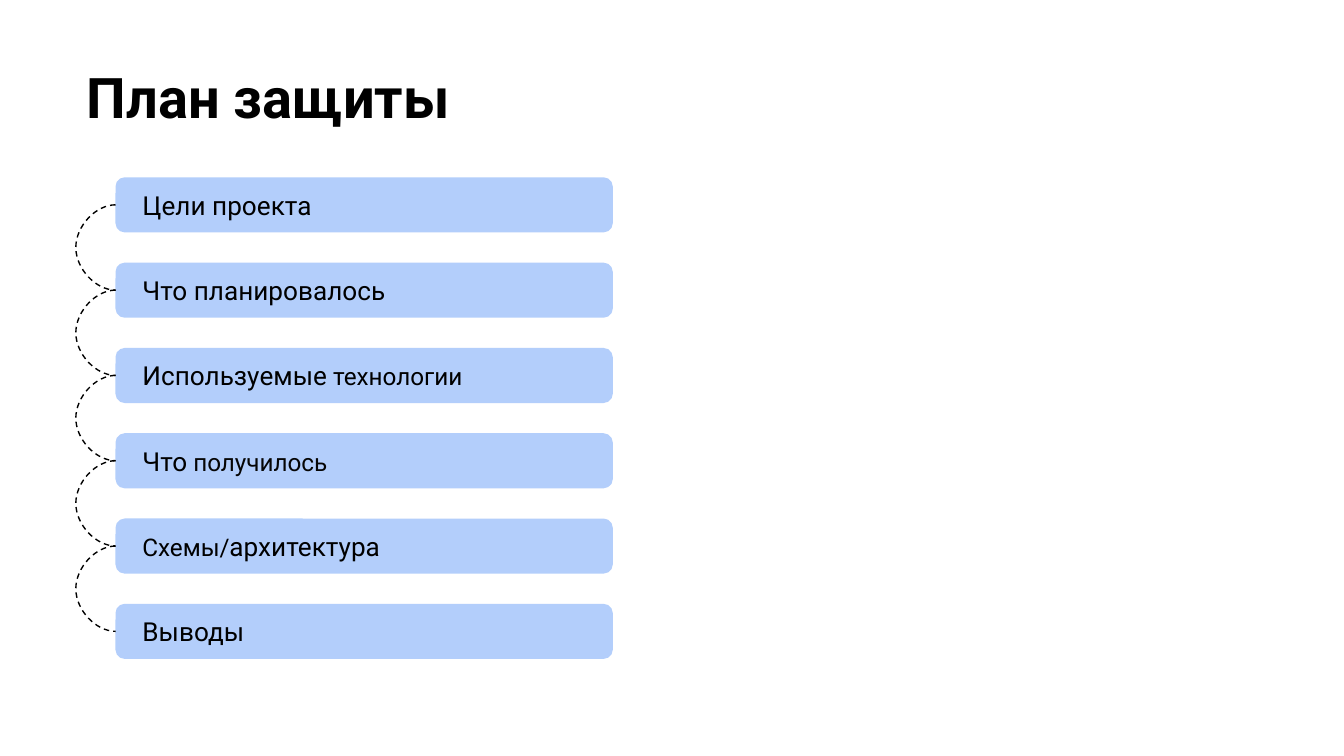
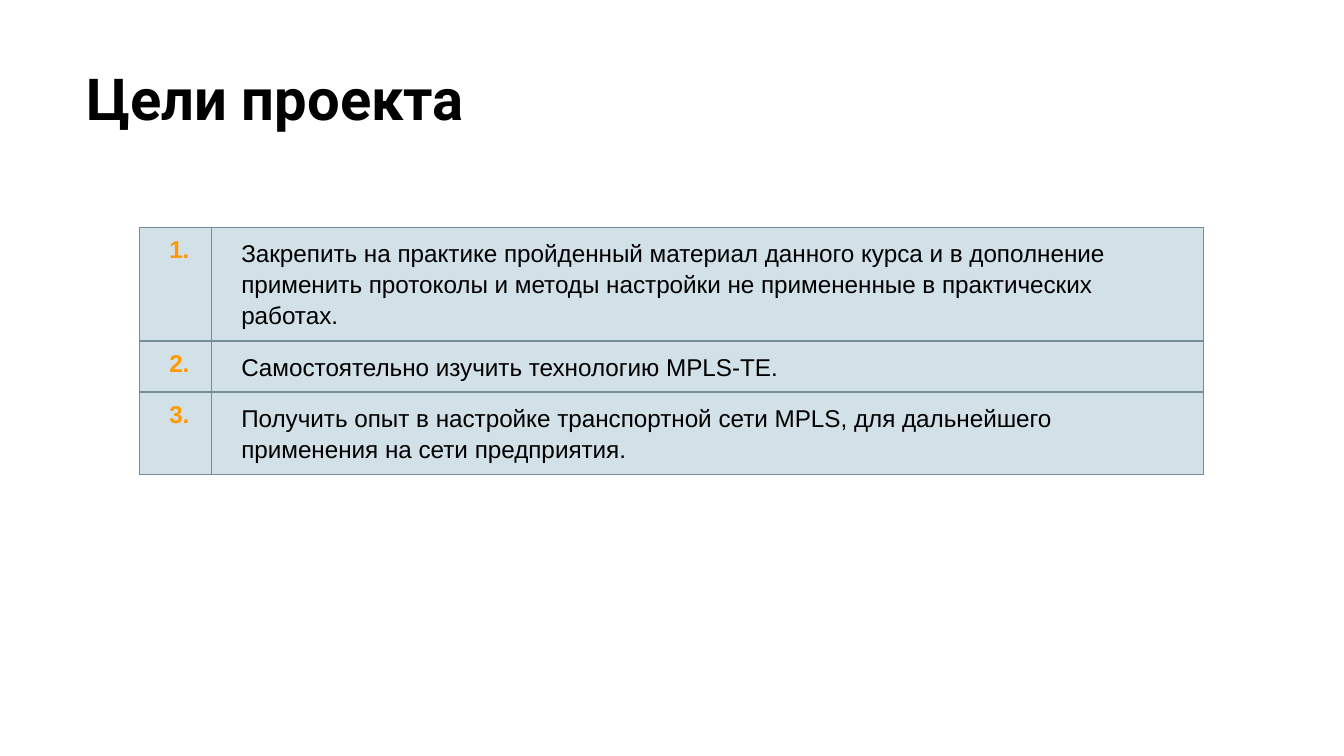
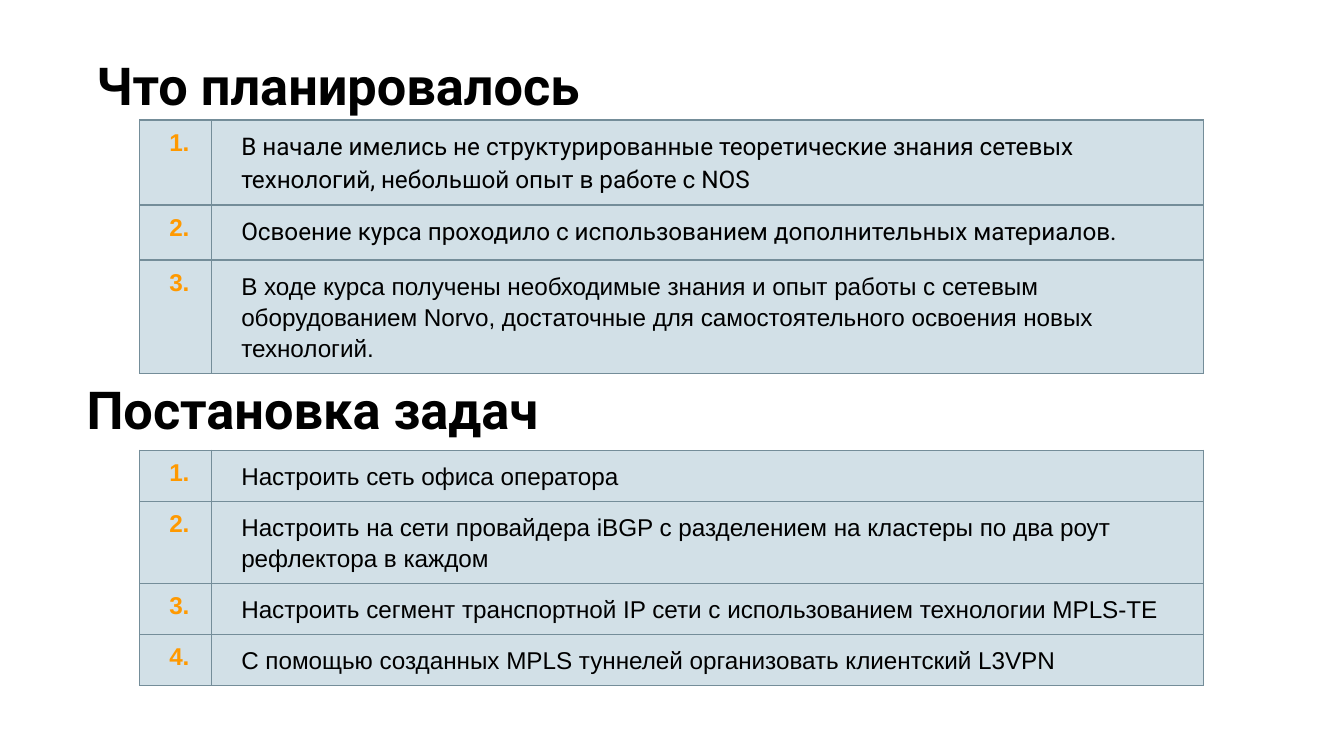
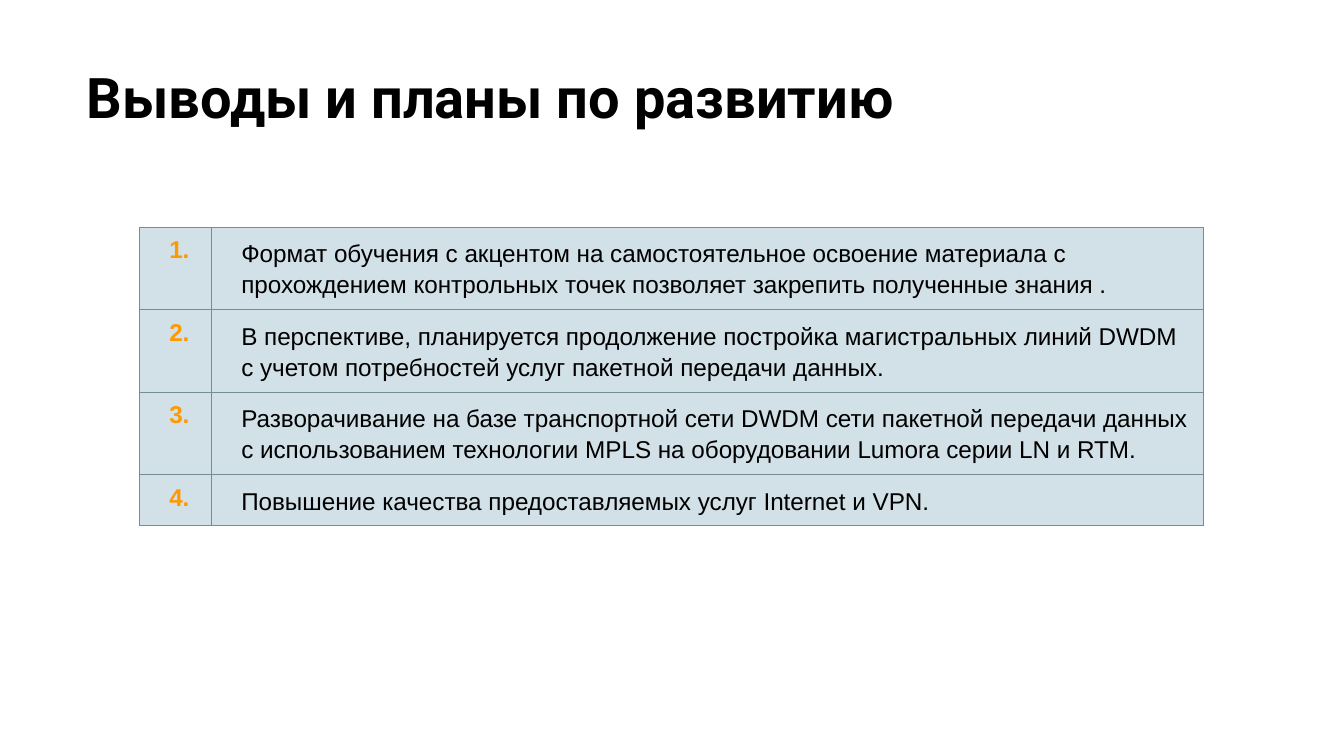
from itertools import pairwise

from pptx import Presentation
from pptx.dml.color import RGBColor
from pptx.enum.dml import MSO_LINE
from pptx.enum.shapes import MSO_CONNECTOR, MSO_SHAPE
from pptx.enum.text import MSO_ANCHOR as ANCHOR, MSO_AUTO_SIZE as AUTO, PP_ALIGN as ALIGN
from pptx.oxml import parse_xml
from pptx.oxml.ns import nsdecls, qn
from pptx.util import Pt

COLORS = {"text": "000000", "soft": "050505", "bar": "B3CEFB", "number": "FF9900",
          "cell": "D2E0E7", "border": "748D99"}
HEAD, BODY = "Roboto", "Arial"

TITLE_BOX = (39.3, 26.1, 671, 86.4)
PLAN = [
    [("Цели проекта", 14, "text")],
    [("Что планировалось", 14, "text")],
    [("Используемые", 14, "text"), (" технологии", 13, "text")],
    [("Что", 14, "text"), (" получилось", 13, "soft")],
    [("Схемы/", 13, "text"), ("архитектура", 14, "text")],
    [("Выводы", 14, "text")],
]
GOALS = [
    ("Закрепить на практике пройденный материал данного курса и в дополнение применить "
     "протоколы и методы настройки не примененные в практических работах.", 60.9, BODY),
    ("Самостоятельно изучить технологию MPLS-TE.", 27.3, BODY),
    ("Получить опыт в настройке транспортной сети MPLS, для дальнейшего применения на "
     "сети предприятия.", 44.2, BODY),
]
PLANNED = [
    ("В начале имелись не структурированные теоретические знания сетевых технологий, "
     "небольшой опыт в работе с NOS", 45.5, HEAD),
    ("Освоение курса проходило с использованием дополнительных материалов.", 29.5, HEAD),
    ("В ходе курса получены необходимые знания и опыт работы с сетевым оборудованием "
     "Norvo, достаточные для самостоятельного освоения новых технологий.", 60.9, BODY),
]
TASKS = [
    ("Настроить сеть офиса оператора", 27.3, BODY),
    ("Настроить на сети провайдера iBGP c разделением на кластеры по два роут "
     "рефлектора в каждом", 44.2, BODY),
    ("Настроить сегмент транспортной IP сети с использованием технологии MPLS-TE",
     27.3, BODY),
    ("С помощью созданных MPLS туннелей организовать клиентский L3VPN", 27.3, BODY),
]
RESULTS = [
    ("Формат обучения с акцентом на самостоятельное освоение материала с прохождением "
     "контрольных точек позволяет закрепить полученные знания .", 44.2, BODY),
    ("В перспективе, планируется продолжение постройка магистральных линий DWDM с "
     "учетом потребностей услуг пакетной передачи данных.", 44.2, BODY),
    ("Разворачивание на базе транспортной сети DWDM сети пакетной передачи данных с "
     "использованием технологии MPLS на оборудовании Lumora серии LN и RTM.", 44.2, BODY),
    ("Повышение качества предоставляемых услуг Internet и VPN.", 27.3, BODY),
]

BAR = {"left": 61.9, "top": 95, "width": 266.4, "height": 29.5, "pitch": 45.7}
BULGE, SPAN = 18.75, 0.05
TABLE_LEFT, COLUMNS = 74.9, (38.6, 531.4)


def rgb(name):
    return RGBColor.from_string(COLORS[name])


def put_text(p, text, size=13, font=BODY, color="text", bold=False, spacing=None):
    r = p.add_run()
    r.text = text
    r.font.size, r.font.name, r.font.bold = Pt(size), font, bold
    r.font.color.rgb = rgb(color)
    p.alignment = ALIGN.LEFT
    if spacing:
        p.line_spacing = spacing


def set_frame(tf, side=7.2, anchor=ANCHOR.TOP):
    tf.word_wrap, tf.auto_size, tf.vertical_anchor = True, AUTO.NONE, anchor
    tf.margin_left = tf.margin_right = Pt(side)
    tf.margin_top = tf.margin_bottom = Pt(7.2)
    return tf.paragraphs[0]


def put_heading(sp, text, size):
    put_text(set_frame(sp.text_frame), text, size=size, font=HEAD, bold=True)


def add_slide(prs, title, size=30, box=TITLE_BOX):
    s = prs.slides.add_slide(prs.slide_layouts[5])
    sp = s.shapes.title
    sp.left, sp.top, sp.width, sp.height = map(Pt, box)
    put_heading(sp, title, size)
    return s


def add_bar(s, top, runs):
    sp = s.shapes.add_shape(MSO_SHAPE.ROUNDED_RECTANGLE, Pt(BAR["left"]), Pt(top),
                            Pt(BAR["width"]), Pt(BAR["height"]))
    sp.shadow.inherit = False
    sp.fill.solid()
    sp.fill.fore_color.rgb = rgb("bar")
    sp.line.fill.background()
    p = set_frame(sp.text_frame, side=13, anchor=ANCHOR.MIDDLE)
    for text, size, color in runs:
        put_text(p, text, size=size, font=HEAD, color=color)
    return sp


def add_link(s, upper, lower):
    start, end = (sp.top + sp.height // 2 for sp in (upper, lower))
    c = s.shapes.add_connector(MSO_CONNECTOR.CURVE, upper.left, start, lower.left, end)
    c.begin_connect(upper, 1)
    c.end_connect(lower, 1)
    c.width = Pt(SPAN)
    c.line.color.rgb = rgb("text")
    c.line.width = Pt(0.75)
    c.line.dash_style = MSO_LINE.DASH
    bend = round(-BULGE / SPAN * 100000)
    guides = c._element.spPr.find(qn("a:prstGeom")).find(qn("a:avLst"))
    guides.append(parse_xml(f'<a:gd {nsdecls("a")} name="adj1" fmla="val {bend}"/>'))
    c._element.spPr.append(parse_xml(f'<a:effectLst {nsdecls("a")}/>'))


def style_cell(cell):
    tc_pr = cell._tc.get_or_add_tcPr()
    for side in "LRTB":
        tc_pr.append(parse_xml(
            f'<a:ln{side} {nsdecls("a")} w="{Pt(0.75)}"><a:solidFill>'
            f'<a:srgbClr val="{COLORS["border"]}"/></a:solidFill></a:ln{side}>'))
    cell.fill.solid()
    cell.fill.fore_color.rgb = rgb("cell")
    cell.margin_left, cell.margin_right = Pt(15.8), Pt(7.2)
    cell.margin_top = cell.margin_bottom = Pt(5)


def add_list_table(s, top, items):
    height = sum(item[1] for item in items)
    table = s.shapes.add_table(len(items), 2, Pt(TABLE_LEFT), Pt(top),
                               Pt(sum(COLUMNS)), Pt(height)).table
    table.first_row = table.horz_banding = False
    for column, width in zip(table.columns, COLUMNS):
        column.width = Pt(width)
    for i, (text, row_height, font) in enumerate(items):
        table.rows[i].height = Pt(row_height)
        number, entry = table.cell(i, 0), table.cell(i, 1)
        style_cell(number)
        style_cell(entry)
        put_text(number.text_frame.paragraphs[0], f"{i + 1}.", color="number", bold=True)
        put_text(entry.text_frame.paragraphs[0], text, font=font, spacing=1.15)


def main():
    prs = Presentation()
    prs.slide_width, prs.slide_height = Pt(720), Pt(405)

    s = add_slide(prs, "План защиты")
    bars = [add_bar(s, BAR["top"] + i * BAR["pitch"], runs) for i, runs in enumerate(PLAN)]
    for upper, lower in pairwise(bars):
        add_link(s, upper, lower)

    s = add_slide(prs, "Цели проекта", size=31)
    add_list_table(s, 121.8, GOALS)

    s = add_slide(prs, "Что планировалось", size=28, box=(44.4, 21.3, 277.2, 32.4))
    add_list_table(s, 64.3, PLANNED)
    add_list_table(s, 241.2, TASKS)
    sp = s.shapes.add_textbox(Pt(39.3), Pt(195.1), Pt(277.2), Pt(43.2))
    put_heading(sp, "Постановка задач", 28)

    s = add_slide(prs, "Выводы и планы по развитию", box=(39.3, 26.1, 671, 55.4))
    add_list_table(s, 121.8, RESULTS)

    prs.save("out.pptx")


if __name__ == "__main__":
    main()
